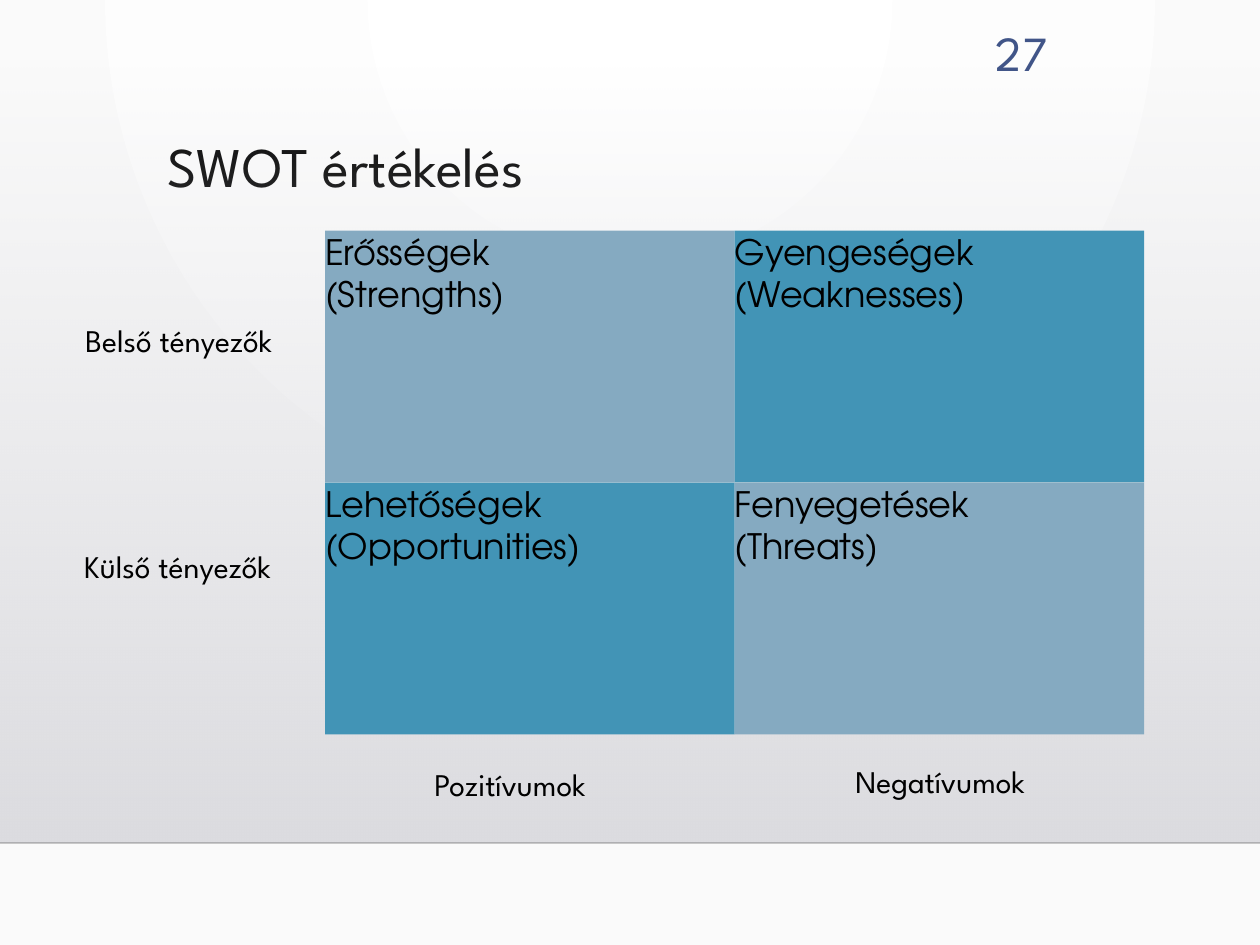
from lxml import etree
from pptx import Presentation
from pptx.dml.color import RGBColor
from pptx.enum.shapes import MSO_CONNECTOR, MSO_SHAPE
from pptx.enum.text import MSO_ANCHOR, MSO_AUTO_SIZE, PP_ALIGN
from pptx.oxml import parse_xml
from pptx.oxml.ns import nsdecls, qn
from pptx.util import Inches, Pt

RECTANGLE = MSO_SHAPE.RECTANGLE
STRAIGHT = MSO_CONNECTOR.STRAIGHT
TOP, MIDDLE = MSO_ANCHOR.TOP, MSO_ANCHOR.MIDDLE
LEFT, RIGHT = PP_ALIGN.LEFT, PP_ALIGN.RIGHT
NO_FIT, GROW = MSO_AUTO_SIZE.NONE, MSO_AUTO_SIZE.SHAPE_TO_FIT_TEXT

BLACK = RGBColor(0x00, 0x00, 0x00)
NUMBER_BLUE = RGBColor(0x41, 0x55, 0x88)
PALE_BLUE = RGBColor(0x85, 0xAA, 0xC1)
DEEP_BLUE = RGBColor(0x42, 0x94, 0xB6)
WHITE = RGBColor(0xFF, 0xFF, 0xFF)
OFF_WHITE = RGBColor(0xFA, 0xFA, 0xFA)
FLOOR_TOP = RGBColor(0xDC, 0xDC, 0xE0)
FLOOR_BOTTOM = RGBColor(0xDE, 0xDE, 0xE2)

HEADING_FONT = "League Spartan"
GRID_FONT = "TeX Gyre Adventor"
RADIAL = '<a:path path="circle"><a:fillToRect l="43000" r="43000" b="100000"/></a:path>'
DOWNWARD = '<a:lin ang="5400000" scaled="0"/>'

GRID_LEFT, GRID_TOP = 2.58, 1.83
CELL_WIDTH, CELL_HEIGHT = 3.25, 2
QUADRANTS = [
    [["Erősségek", "(Strengths)"], ["Gyengeségek (Weaknesses)"]],
    [["Lehetőségek (Opportunities)"], ["Fenyegetések", "(Threats)"]],
]
AXIS_LABELS = [
    ("Külső tényezők", 0.57, 4.29, 1.9),
    ("Belső tényezők", 0.58, 2.5, 1.9),
    ("Pozitívumok", 3.35, 6.02, 1.56),
    ("Negatívumok", 6.69, 6, 1.67),
]


def apply_format(target, values):
    """Set each attribute named in a dict of format values."""
    for name, value in values.items():
        setattr(target, name, value)


def write_text(shape, lines, frame_format, size, font=HEADING_FONT, color=BLACK, **para_format):
    """Fill a shape with one formatted paragraph per line."""
    frame = shape.text_frame
    apply_format(frame, frame_format)
    frame.text = "\n".join(lines)
    for para in frame.paragraphs:
        apply_format(para, {"alignment": LEFT, **para_format})
        for span in para.runs:
            apply_format(span.font, {"name": font, "size": Pt(size)})
            span.font.color.rgb = color


def set_gradient(owner, element, first, last, direction, first_alpha=100):
    """Give the owner a two-stop gradient fill."""
    owner.fill.solid()
    solid = next(element.iter(qn("a:solidFill")))
    gradient = parse_xml(
        f'<a:gradFill {nsdecls("a")} rotWithShape="1"><a:gsLst>'
        f'<a:gs pos="0"><a:srgbClr val="{first}"><a:alpha val="{first_alpha * 1000}"/></a:srgbClr></a:gs>'
        f'<a:gs pos="100000"><a:srgbClr val="{last}"/></a:gs>'
        f"</a:gsLst>{direction}</a:gradFill>"
    )
    solid.getparent().replace(solid, gradient)


def add_rectangle(page, left, top, width, height):
    """Add a rectangle with no outline and no shadow."""
    box = page.shapes.add_shape(RECTANGLE, *map(Inches, (left, top, width, height)))
    box.shadow.inherit = False
    box.line.fill.background()
    return box


def add_backdrop(page):
    """Add the radial background, the shaded wall and its base line."""
    set_gradient(page.background, page.element, WHITE, OFF_WHITE, RADIAL)
    wall = add_rectangle(page, 0, 0.51, 10, 6.18)
    set_gradient(wall, wall.element, FLOOR_TOP, FLOOR_BOTTOM, DOWNWARD, first_alpha=0)
    base = page.shapes.add_connector(STRAIGHT, *map(Inches, (0, 6.69, 10, 6.69)))
    base.line.width = Pt(1)
    base.line.color.rgb = BLACK
    color = next(base.element.iter(qn("a:srgbClr")))
    etree.SubElement(color, qn("a:alpha"), val="20000")
    etree.SubElement(base.element.spPr, qn("a:effectLst"))


def add_title(page, text):
    """Place and format the title placeholder."""
    title = page.shapes.title
    place = {"left": 1.23, "top": 1.05, "width": 7.19, "height": 1.15}
    apply_format(title, {name: Inches(value) for name, value in place.items()})
    frame_format = {"vertical_anchor": TOP, "word_wrap": True, "auto_size": NO_FIT}
    write_text(title, [text], frame_format, 32, line_spacing=0.9)


def add_page_number(page, number):
    """Add the page number at the top right."""
    box = page.shapes.add_textbox(*map(Inches, (7.54, 0.14, 0.87, 0.55)))
    frame_format = {"vertical_anchor": MIDDLE, "word_wrap": True}
    write_text(box, [number], frame_format, 28, color=NUMBER_BLUE, alignment=RIGHT)


def add_quadrants(page):
    """Add the four cells in a checkerboard of two blues."""
    sides = ("margin_left", "margin_top", "margin_right", "margin_bottom")
    frame_format = {"vertical_anchor": TOP, "word_wrap": True, **dict.fromkeys(sides, 0)}
    for row, cells in enumerate(QUADRANTS):
        for column, lines in enumerate(cells):
            left = GRID_LEFT + column * CELL_WIDTH
            top = GRID_TOP + row * CELL_HEIGHT
            cell = add_rectangle(page, left, top, CELL_WIDTH, CELL_HEIGHT)
            cell.fill.solid()
            cell.fill.fore_color.rgb = DEEP_BLUE if (row + column) % 2 else PALE_BLUE
            write_text(cell, lines, frame_format, 20, GRID_FONT)


def add_axis_label(page, text, left, top, width):
    """Add a row or column label beside the grid."""
    box = page.shapes.add_textbox(*map(Inches, (left, top, width, 0.4)))
    write_text(box, [text], {"word_wrap": False, "auto_size": GROW}, 18)


def main():
    """Build the SWOT slide and save it."""
    deck = Presentation()
    deck.slide_width, deck.slide_height = Inches(10), Inches(7.5)
    page = deck.slides.add_slide(deck.slide_layouts[5])
    add_backdrop(page)
    add_page_number(page, "27")
    add_title(page, "SWOT értékelés")
    add_quadrants(page)
    for label in AXIS_LABELS:
        add_axis_label(page, *label)
    deck.save("out.pptx")


if __name__ == "__main__":
    main()
